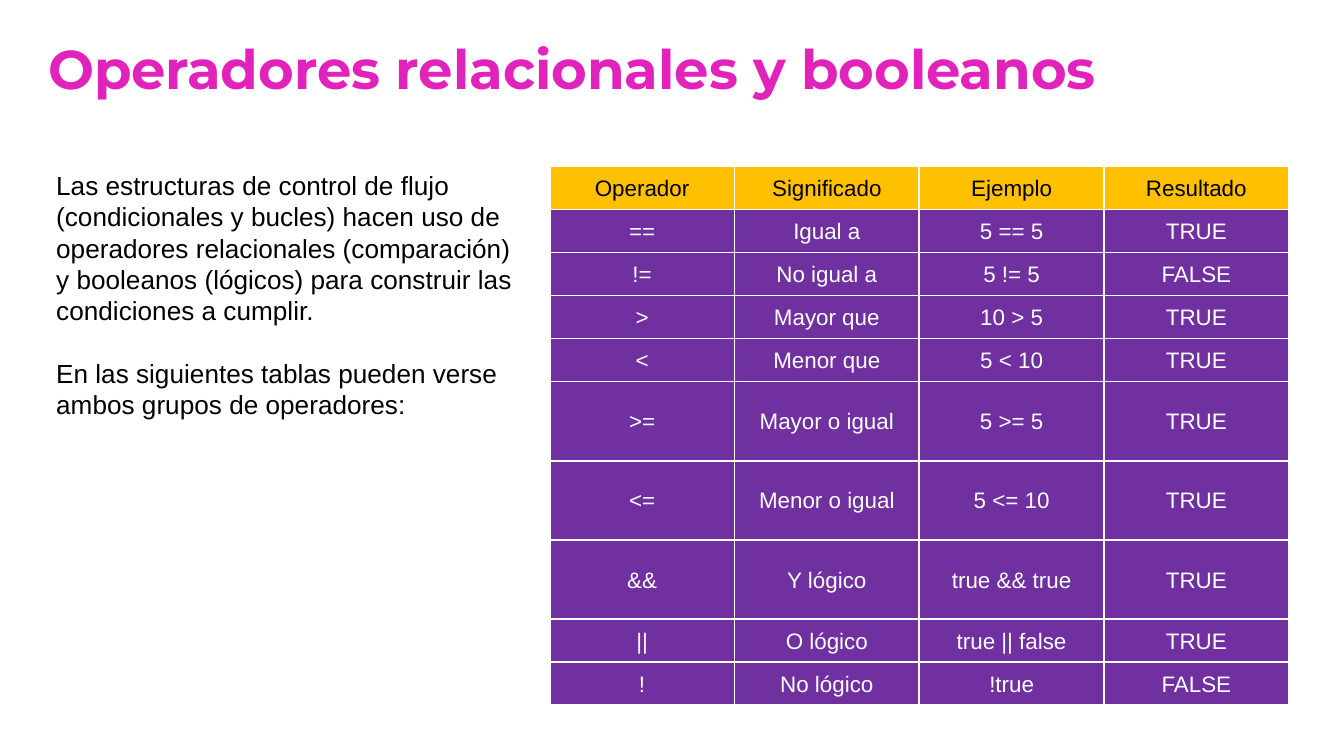
import pptx
import pptx.util
import pptx.dml.color
import pptx.enum.text
import pptx.oxml
import pptx.oxml.ns
from pptx.util import Inches

HEAD = ["Operador", "Significado", "Ejemplo", "Resultado"]
ROWS = [
    ["==", "Igual a", "5 == 5", "TRUE"],
    ["!=", "No igual a", "5 != 5", "FALSE"],
    [">", "Mayor que", "10 > 5", "TRUE"],
    ["<", "Menor que", "5 < 10", "TRUE"],
    [">=", "Mayor o igual", "5 >= 5", "TRUE"],
    ["<=", "Menor o igual", "5 <= 10", "TRUE"],
    ["&&", "Y lógico", "true && true", "TRUE"],
    ["||", "O lógico", "true || false", "TRUE"],
    ["!", "No lógico", "!true", "FALSE"],
]
TALL = {">=", "<=", "&&"}
BODY = [
    "Las estructuras de control de flujo (condicionales y bucles) hacen uso de "
    "operadores relacionales (comparación) y booleanos (lógicos) para construir "
    "las condiciones a cumplir.",
    "En las siguientes tablas pueden verse ambos grupos de operadores:",
]


def tint(code):
    """Return the colour for a hex string."""
    return pptx.dml.color.RGBColor.from_string(code)


def style(para, size, color, face="Arial", bold=False):
    """Set the font of a paragraph."""
    font = para.font
    font.size, font.name, font.bold = pptx.util.Pt(size), face, bold
    font.color.rgb = tint(color)


def add_text(slide, box, texts, size, color, face="Arial", bold=False, gap=0):
    """Add a text box with one paragraph for each text."""
    frame = slide.shapes.add_textbox(*map(Inches, box)).text_frame
    frame.word_wrap = True
    frame.margin_left = frame.margin_right = Inches(0.1)
    frame.margin_top = frame.margin_bottom = Inches(0.1)
    for i, text in enumerate(texts):
        para = frame.add_paragraph() if i else frame.paragraphs[0]
        para.text = text
        if i:
            para.space_before = pptx.util.Pt(gap)
        style(para, size, color, face, bold)


def add_edges(cell, color):
    """Draw a one-point line on every side of a cell."""
    props = cell._tc.get_or_add_tcPr()
    for i, side in enumerate(("lnL", "lnR", "lnT", "lnB")):
        props.insert(i, pptx.oxml.parse_xml(
            f'<a:{side} {pptx.oxml.ns.nsdecls("a")} w="12700"><a:solidFill>'
            f'<a:srgbClr val="{color}"/></a:solidFill></a:{side}>'))


def fill_cell(cell, text, fill, color):
    """Write and colour one table cell."""
    cell.text = text
    cell.vertical_anchor = pptx.enum.text.MSO_ANCHOR.MIDDLE
    cell.margin_left = cell.margin_right = cell.margin_top = Inches(0.01)
    cell.margin_bottom = 0
    cell.fill.solid()
    cell.fill.fore_color.rgb = tint(fill)
    para = cell.text_frame.paragraphs[0]
    para.alignment = pptx.enum.text.PP_ALIGN.CENTER
    style(para, 12, color)
    add_edges(cell, "FFFFFF")


def add_grid(slide, box):
    """Add the table of operators."""
    rows = [HEAD] + ROWS
    grid = slide.shapes.add_table(len(rows), len(HEAD), *map(Inches, box)).table
    for i, row in enumerate(rows):
        grid.rows[i].height = Inches(0.59 if row[0] in TALL else 0.32)
        fill, color = ("7030A0", "FFFFFF") if i else ("FFC000", "000000")
        for j, text in enumerate(row):
            fill_cell(grid.cell(i, j), text, fill, color)


def main():
    """Build the slide and save it."""
    deck = pptx.Presentation()
    deck.slide_width, deck.slide_height = Inches(10), Inches(10 * 9 / 16)
    slide = deck.slides.add_slide(deck.slide_layouts[6])
    add_text(slide, (0.26, 0.16, 9.4, 0.63), ["Operadores relacionales y booleanos"],
             29.2, "E122BB", "Montserrat", True)
    add_text(slide, (0.32, 1.16, 3.64, 2.09), BODY, 14, "000000", gap=16.7)
    add_grid(slide, (4.09, 1.24, 5.5, 3.98))
    deck.save("out.pptx")


if __name__ == "__main__":
    main()
